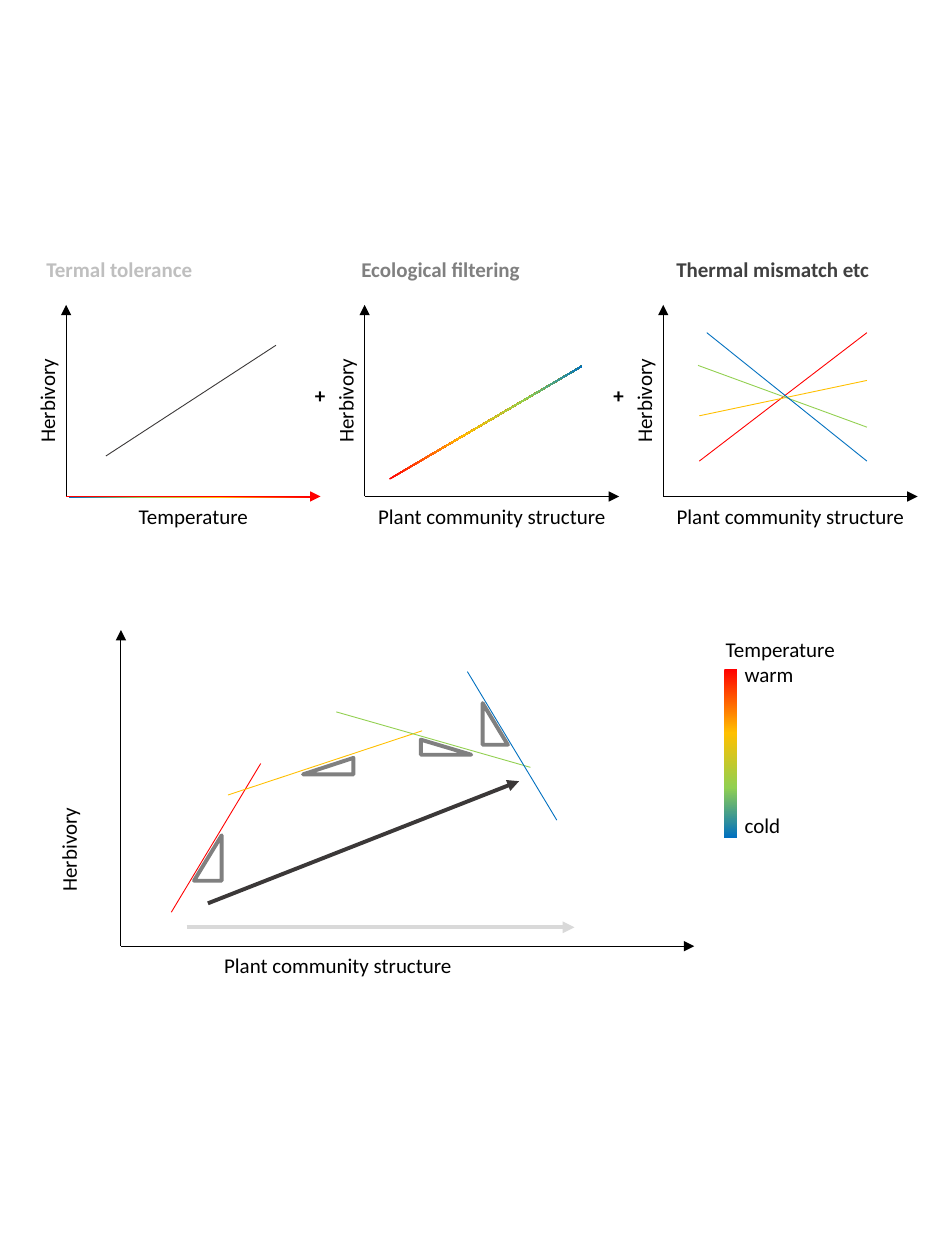
from pptx import Presentation
from pptx.dml.color import RGBColor as RGB
from pptx.enum.shapes import MSO_CONNECTOR as CONN, MSO_SHAPE as SHAPE
from pptx.enum.text import PP_ALIGN as ALIGN
from pptx.oxml.ns import qn
from pptx.util import Pt
from lxml.etree import SubElement as sub

BLACK = RGB(0, 0, 0)
RED = RGB(0xFF, 0, 0)
GOLD = RGB(0xFF, 0xC0, 0)
GREEN = RGB(0x92, 0xD0, 0x50)
BLUE = RGB(0, 0x70, 0xC0)
DARK = RGB(0x3B, 0x38, 0x38)
GREY = RGB(0x80, 0x80, 0x80)
PALE = RGB(0xD9, 0xD9, 0xD9)
SILVER = RGB(0xBF, 0xBF, 0xBF)
COAL = RGB(0x40, 0x40, 0x40)
SCALE = ((0, RED), (38, GOLD), (70, GREEN), (100, BLUE))


class Figure:
    font = "Calibri"
    size = 12
    thin = 0.5
    thick = 2.25

    def __init__(self, slide):
        self.shapes = slide.shapes

    def text(self, box, *lines, color=BLACK, bold=False, align=ALIGN.LEFT, turn=0, wrap=True):
        shape = self.shapes.add_textbox(*map(Pt, box))
        shape.rotation = turn
        frame = shape.text_frame
        frame.word_wrap = wrap
        frame.text = "\n".join(lines)
        for para in frame.paragraphs:
            para.alignment = align
            font = para.font
            font.name, font.size, font.bold = self.font, Pt(self.size), bold
            font.color.rgb = color
        return frame

    def line(self, start, end, color=BLACK, width=thin, arrow=False):
        link = self.shapes.add_connector(CONN.STRAIGHT, *map(Pt, (*start, *end)))
        link.line.color.rgb = color
        link.line.width = Pt(width)
        if arrow:
            sub(link.line._get_or_add_ln(), qn("a:tailEnd"), type="triangle")
        sub(link._element.spPr, qn("a:effectLst"))

    def axes(self, origin, right, top, color=BLACK):
        x, y = origin
        self.line(origin, (right, y), color, arrow=True)
        self.line((x, y), (x, top), arrow=True)

    def shape(self, kind, box, turn):
        shape = self.shapes.add_shape(kind, *map(Pt, box))
        shape.rotation = turn
        shape.shadow.inherit = False
        return shape

    def scale(self, box, turn=0):
        """Draw a bar that fades from warm to cold along its height."""
        bar = self.shape(SHAPE.RECTANGLE, box, turn)
        bar.line.fill.background()
        bar.fill.gradient()
        bar.fill.gradient_angle = 270
        stops = bar._element.spPr.find(qn("a:gradFill")).find(qn("a:gsLst"))
        stops.clear()
        for share, color in SCALE:
            stop = sub(stops, qn("a:gs"), pos=str(share * 1000))
            sub(stop, qn("a:srgbClr"), val=str(color))

    def slope(self, box, turn=0, flip=False):
        """Draw an outlined slope triangle."""
        tri = self.shape(SHAPE.RIGHT_TRIANGLE, box, turn)
        tri.fill.background()
        tri.line.color.rgb = GREY
        tri.line.width = Pt(self.thick)
        if flip:
            tri._element.spPr.xfrm.set("flipV", "1")


def draw_model(fig):
    legend = fig.text((407.5, 360, 77.8, 123.8), "Temperature", "warm", "cold", wrap=False)
    for para in legend.paragraphs[1:]:
        para._p.get_or_add_pPr().set("marL", str(Pt(10.9)))
    legend.paragraphs[2].space_before = Pt(72)
    fig.text((121, 540.7, 225.4, 36), "Plant community structure")
    fig.axes((69.1, 540.7), 396.7, 360)
    fig.text((-17.3, 429.1, 133.2, 41.8), "Herbivory", turn=270, wrap=False)

    for start, end, color in (
        ((97.9, 521.3), (149, 436.3), RED),
        ((130.3, 454.3), (241.2, 417.6), GOLD),
        ((192.2, 406.8), (303.1, 438.5), GREEN),
        ((318.2, 468.7), (267.1, 383.8), BLUE),
    ):
        fig.line(start, end, color)
    fig.scale((414, 382.3, 7.2, 96.5))
    fig.line((106.6, 529.9), (328.3, 529.9), PALE, fig.thick, arrow=True)
    fig.line((118.8, 516.2), (296.6, 446.4), DARK, fig.thick, arrow=True)

    fig.slope((105.8, 482.4, 25.9, 15.8), 270)
    fig.slope((182.9, 423.4, 9.4, 28.8), 270)
    fig.slope((275.8, 401.8, 14.4, 23.8))
    fig.slope((250.6, 412.6, 8.6, 28.8), 270, flip=True)


def draw_panels(fig):
    step = 170.6
    plant = "Plant community structure"
    panels = (
        ("Termal tolerance", SILVER, "Temperature", RED),
        ("Ecological filtering", GREY, plant, BLACK),
        ("Thermal mismatch etc", COAL, plant, BLACK),
    )
    for i, (title, shade, label, color) in enumerate(panels):
        x = 37.8 + i * step
        fig.text((x, 284.4, 145.4, 21.6), label, align=ALIGN.CENTER)
        fig.axes((x, 283.7), x + 145.4, 174.2, color)
        fig.text((x - 42.8, 218.2, 63.4, 21.6), "Herbivory", align=ALIGN.CENTER, turn=270)
        fig.text((19.4 + i * 180, 143.3, 160, 21.6), title, color=shade, bold=True)
        if i:
            fig.text((x - 35.6, 215.3, 24, 21.6), "+", bold=True)

    fig.scale((108.7, 214.6, 0.7, 139), 90)
    fig.line((60.5, 260.6), (157.7, 197.3), DARK)
    fig.scale((277.2, 177.8, 0.7, 127.4), 239.6)
    right = 495.4
    for left, start, end, color in (
        (399.6, 263.5, 190.1, RED),
        (399.6, 237.6, 217.4, GOLD),
        (398.9, 208.8, 244.1, GREEN),
        (403.9, 190.1, 263.5, BLUE),
    ):
        fig.line((left, start), (right, end), color)


def main():
    deck = Presentation()
    deck.slide_width, deck.slide_height = Pt(540), Pt(720)
    fig = Figure(deck.slides.add_slide(deck.slide_layouts[6]))
    draw_model(fig)
    draw_panels(fig)
    deck.save("out.pptx")


if __name__ == "__main__":
    main()
